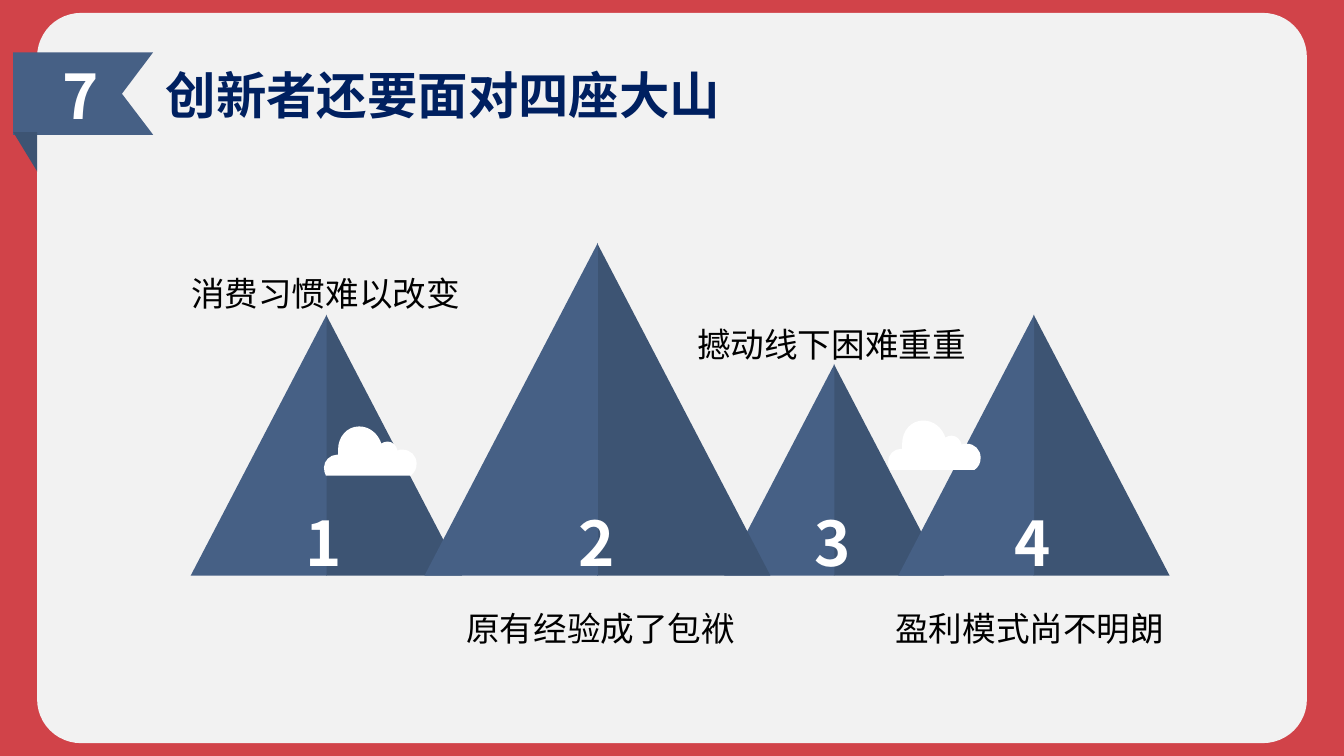
"""Build the slide on the four mountains that innovators face."""
from lxml import etree
from pptx import Presentation
from pptx.dml import color
from pptx.enum import shapes, text
from pptx.oxml import ns
from pptx.util import Pt

THEME = {
    "frame": "D14349", "panel": "F2F2F2", "light": "466085", "dark": "3D5473",
    "title": "002060", "label": "000000", "white": "FFFFFF",
    "title_size": 36, "label_size": 24, "number_size": 44,
    "text_font": "Noto Sans CJK SC", "number_font": "Noto Sans CJK JP",
}
WIDTH, HEIGHT = 960, 540
BASE = 411.2
SLOPE = 0.521
RIDGE_OVERLAP = 0.5

TITLE = ("创新者还要面对四座大山", 111.3, 42.5, 414.7, 51.1)
SECTION = ("7", 37.4, 37.6)
RIBBON = [(9.4, 37.4), (109.4, 37.4), (87.1, 67), (109.4, 96.3), (9.4, 96.3)]
FOLD = (9.4, 94.3, 17.2, 28.2)
BACK_MOUNTAINS = [(232.9, 186.5), (595.6, 151.2), (738.3, 186.5)]
FRONT_MOUNTAINS = [(426.5, 237.6)]
CLOUDS = [(634.3, 300.4), (231.4, 304.6)]
LABELS = [
    ("消费习惯难以改变", 122.7, 184.3, 219.6, 40.3),
    ("原有经验成了包袱", 314.2, 423.8, 229.7, 43.9),
    ("撼动线下困难重重", 487, 221, 213.8, 40.3),
    ("盈利模式尚不明朗", 613.4, 423.8, 244.1, 43.9),
]
NUMBERS = [("1", 211), ("2", 406.1), ("3", 575), ("4", 717.8)]
NUMBER_TOP = 357.1

CLOUD_START = (25.2, 0)
CLOUD_CURVES = [
    [(33.1, 0), (38.9, 5.8), (41, 12.2)],
    [(41.8, 11.5), (43.9, 10.8), (45.4, 10.8)],
    [(49, 10.8), (51.8, 13.7), (52.6, 17.3)],
    [(53.3, 16.6), (54.7, 16.6), (56.2, 16.6)],
    [(61.9, 16.6), (66.2, 20.9), (66.2, 26.6)],
    [(66.2, 30.2), (64.8, 33.1), (61.9, 35.2)],
    [(1.4, 35.2)],
    [(0.7, 33.8), (0, 31.7), (0, 29.5)],
    [(0, 24.5), (4.3, 20.2), (9.4, 20.2)],
    [(10.1, 20.2)],
    [(10.1, 18.7), (10.1, 17.3), (10.1, 16.6)],
    [(10.1, 7.2), (16.6, 0), (25.2, 0)],
]


def rgb(name):
    return color.RGBColor.from_string(THEME[name])


def paint(shape, fill):
    shape.shadow.inherit = False
    shape.fill.solid()
    shape.fill.fore_color.rgb = rgb(fill)
    shape.line.fill.background()
    return shape


def add_preset(parent, kind, box, fill):
    return paint(parent.shapes.add_shape(kind, *map(Pt, box)), fill)


def add_outline(slide, points, fill):
    corners = [(Pt(x), Pt(y)) for x, y in points]
    builder = slide.shapes.build_freeform(*corners[0])
    builder.add_line_segments(corners[1:], close=True)
    return paint(builder.convert_to_shape(), fill)


def add_cloud(slide, left, top):
    ends = [CLOUD_START] + [curve[-1] for curve in CLOUD_CURVES]
    cloud = add_outline(slide, [(left + x, top + y) for x, y in ends], "white")
    segments = list(cloud._element.iter(ns.qn("a:lnTo")))
    for segment, curve in zip(segments, CLOUD_CURVES):
        if len(curve) == 3:
            bend = etree.Element(ns.qn("a:cubicBezTo"))
            for x, y in curve:
                etree.SubElement(bend, ns.qn("a:pt"), x=str(int(Pt(x))), y=str(int(Pt(y))))
            segment.getparent().replace(segment, bend)


def add_mountain(slide, peak, height):
    half = height * SLOPE
    top = BASE - height
    mountain = slide.shapes.add_group_shape()
    triangle = shapes.MSO_SHAPE.RIGHT_TRIANGLE
    add_preset(mountain, triangle, (peak, top, half, height), "dark")
    left = add_preset(
        mountain, triangle, (peak - half + RIDGE_OVERLAP, top, half, height), "light")
    left._element.spPr.xfrm.set("flipH", "1")


def add_text(slide, words, box, size, font, ink, bold=True, wrap=False):
    frame = slide.shapes.add_textbox(*map(Pt, box)).text_frame
    frame.word_wrap = wrap
    frame.auto_size = text.MSO_AUTO_SIZE.SHAPE_TO_FIT_TEXT
    paragraph = frame.paragraphs[0]
    paragraph.text = words
    paragraph.font.size = Pt(THEME[size])
    paragraph.font.bold = bold
    paragraph.font.color.rgb = rgb(ink)
    paragraph.font.name = THEME[font]
    east_asian = etree.SubElement(paragraph.font._element, ns.qn("a:ea"))
    east_asian.set("typeface", THEME[font])
    return paragraph


def add_number(slide, digit, left, top):
    add_text(slide, digit, (left, top, 44, 60.5), "number_size", "number_font", "white")


def main():
    presentation = Presentation()
    presentation.slide_width, presentation.slide_height = Pt(WIDTH), Pt(HEIGHT)
    slide = presentation.slides.add_slide(presentation.slide_layouts[6])
    slide.background.fill.solid()
    slide.background.fill.fore_color.rgb = rgb("panel")

    add_preset(slide, shapes.MSO_SHAPE.RECTANGLE, (0, 0, WIDTH, HEIGHT), "frame")
    panel = add_preset(
        slide, shapes.MSO_SHAPE.ROUNDED_RECTANGLE, (26.5, 9.2, 907, 521.6), "panel")
    panel.adjustments[0] = 0.06
    add_outline(slide, RIBBON, "light")
    add_preset(slide, shapes.MSO_SHAPE.RIGHT_TRIANGLE, FOLD, "dark").rotation = 180

    for mountain in BACK_MOUNTAINS:
        add_mountain(slide, *mountain)
    add_text(slide, TITLE[0], TITLE[1:], "title_size", "text_font", "title")
    add_number(slide, *SECTION)
    for cloud in CLOUDS:
        add_cloud(slide, *cloud)
    for mountain in FRONT_MOUNTAINS:
        add_mountain(slide, *mountain)

    for words, *box in LABELS:
        label = add_text(slide, words, box, "label_size", "text_font", "label",
                         bold=False, wrap=True)
        label.alignment = text.PP_ALIGN.CENTER
        label.line_spacing = 1.25
    for digit, left in NUMBERS:
        add_number(slide, digit, left, NUMBER_TOP)

    presentation.save("out.pptx")


if __name__ == "__main__":
    main()
